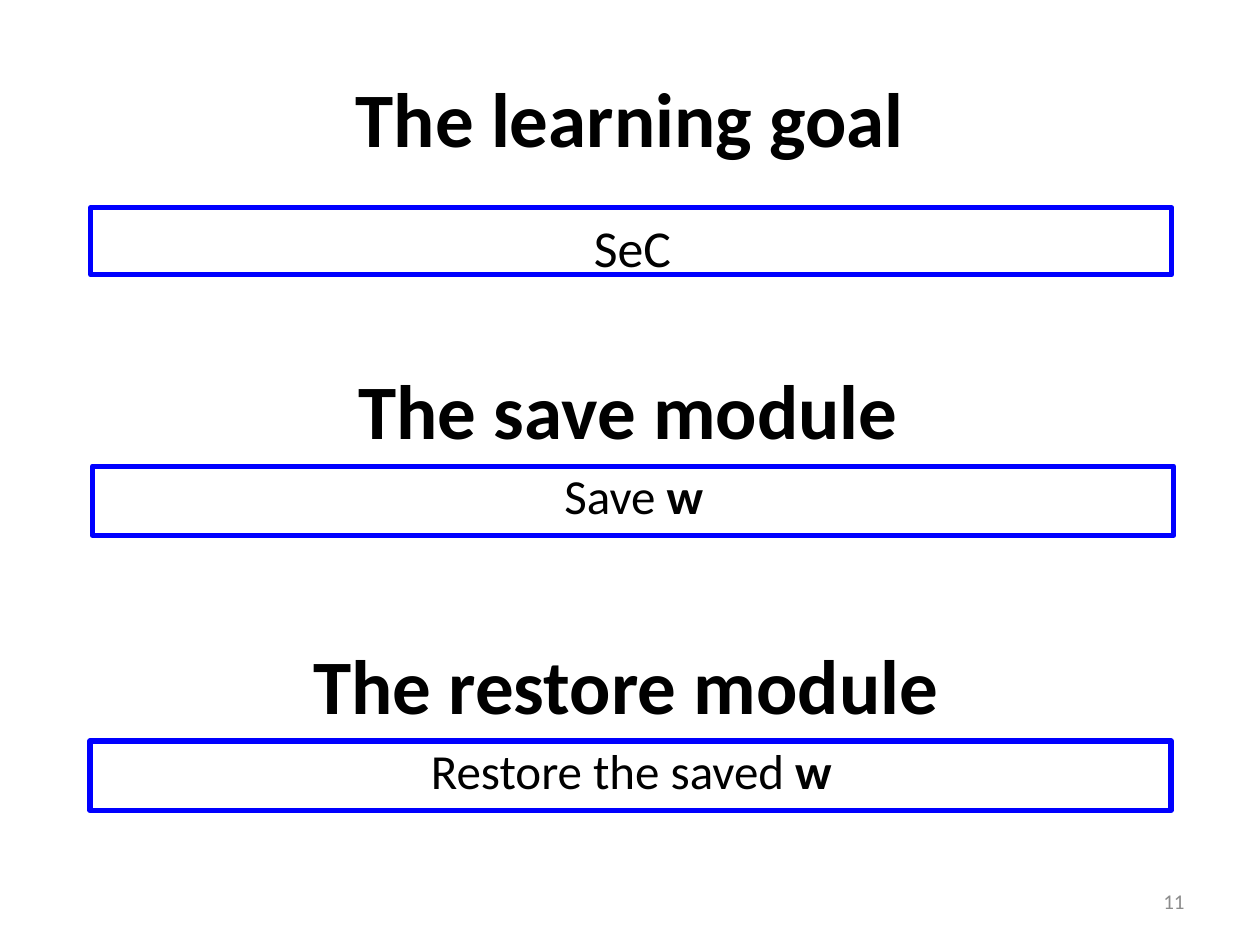
from pptx import Presentation
from pptx.dml.color import RGBColor
from pptx.enum import shapes, text
from pptx.util import Pt

BLACK = RGBColor(0, 0, 0)
GREY = RGBColor(0x8C, 0x8C, 0x8C)
BLUE = RGBColor(0, 0, 0xFF)
CENTER = text.PP_ALIGN.CENTER
RIGHT = text.PP_ALIGN.RIGHT
TOP = text.MSO_ANCHOR.TOP
MIDDLE = text.MSO_ANCHOR.MIDDLE


def write(box, *spans, size=28, color=BLACK, align=CENTER, anchor=TOP, spacing=None):
    """Fill a box with one paragraph of (words, bold) spans."""
    frame = box.text_frame
    frame.word_wrap = True
    frame.vertical_anchor = anchor
    para = frame.paragraphs[0]
    para.alignment = align
    if spacing:
        para.line_spacing = spacing
    for words, bold in spans:
        span = para.add_run()
        span.text = words
        font = span.font
        font.name, font.size, font.bold = "Calibri", Pt(size), bold
        font.color.rgb = color


class Page:
    """The current slide and its style."""

    def __init__(self, deck):
        self.shapes = deck.slides.add_slide(deck.slide_layouts[6]).shapes

    def label(self, left, top, width, height, *spans, **style):
        box = self.shapes.add_textbox(Pt(left), Pt(top), Pt(width), Pt(height))
        write(box, *spans, **style)

    def heading(self, left, top, width, height, words, spacing=None):
        self.label(left, top, width, height, (words, True),
                   size=44, anchor=MIDDLE, spacing=spacing)

    def outline(self, left, top, width, height):
        frame = self.shapes.add_shape(shapes.MSO_SHAPE.RECTANGLE,
                                      Pt(left), Pt(top), Pt(width), Pt(height))
        frame.shadow.inherit = False
        frame.fill.background()
        frame.line.color.rgb = BLUE
        frame.line.width = Pt(3)

    def module(self, left, top, name, action):
        """A heading above an outlined step that acts on w."""
        self.heading(left - 3, top - 81.8, 620.6, 104.4, name, spacing=0.9)
        self.label(left, top, 620.6, 45.4, (action, False), ("w", True), spacing=0.9)
        self.outline(left + 1, top, 617.8, 39.6)


deck = Presentation()
deck.slide_width, deck.slide_height = Pt(720), Pt(540)
page = Page(deck)

# Learning goal
page.heading(36, 21.6, 648, 90, "The learning goal")
page.label(51.1, 119.5, 620.6, 36.7, ("SeC", False), size=29.6)
page.outline(51.8, 118.8, 617.8, 38.2)

# Modules
page.module(51.8, 266.4, "The save module", "Save ")
page.module(50.4, 423.4, "The restore module", "Restore the saved ")

# Page number
page.label(516.2, 500.4, 167.8, 28.8, ("11", False),
           size=12, color=GREY, align=RIGHT, anchor=MIDDLE)

deck.save("out.pptx")
